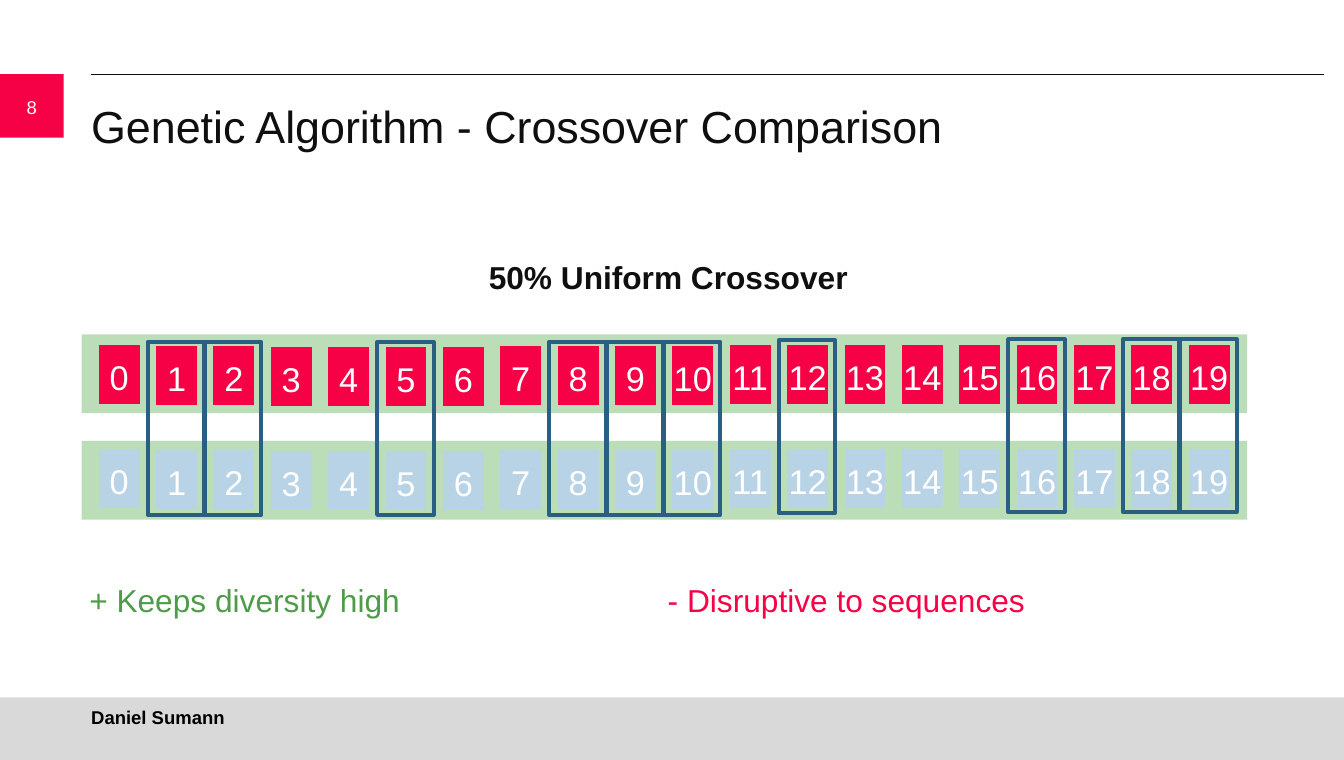
from dataclasses import dataclass

from lxml import etree
from pptx import Presentation
from pptx.dml.color import RGBColor
from pptx.enum.shapes import MSO_CONNECTOR, MSO_SHAPE
from pptx.enum.text import MSO_ANCHOR, PP_ALIGN
from pptx.oxml.ns import qn
from pptx.util import Inches, Pt

RECT, BOX = MSO_SHAPE.RECTANGLE, MSO_SHAPE.FLOWCHART_PROCESS
LINE = MSO_CONNECTOR.STRAIGHT
LEFT, MID = PP_ALIGN.LEFT, PP_ALIGN.CENTER
TOP, CENTER = MSO_ANCHOR.TOP, MSO_ANCHOR.MIDDLE

# Grid of the slide: columns and rows of a tenth of an inch
UNIT, COLS, ROWS = 0.1, 141.5, 80


@dataclass(frozen=True)
class Theme:
    font: str = "Arial"
    ink: str = "0F0F0F"
    black: str = "000000"
    white: str = "FFFFFF"
    red: str = "F70146"
    gray: str = "D9D9D9"
    green: str = "78BE73"
    leaf: str = "4E9C49"
    pale: str = "B9D3E6"
    blue: str = "285F82"
    title: int = 34
    gene: int = 26
    body: int = 24
    small: int = 14
    space: float = 1.1


def grid(*cells):
    return [Inches(c * UNIT) for c in cells]


def write(shape, text, theme, size, color, bold=False, align=LEFT,
          anchor=TOP, pad=(0, 0, 0, 0)):
    frame = shape.text_frame
    frame.word_wrap = True
    frame.vertical_anchor = anchor
    (frame.margin_left, frame.margin_top,
     frame.margin_right, frame.margin_bottom) = grid(*pad)
    para = frame.paragraphs[0]
    para.alignment = align
    para.line_spacing = theme.space
    run = para.add_run()
    run.text = text
    font = run.font
    font.name, font.size, font.bold = theme.font, Pt(size), bold
    font.color.rgb = RGBColor.from_string(color)


class Board:
    def __init__(self, slide, theme):
        self.slide, self.theme = slide, theme

    def text(self, at, text, size, color, **style):
        box = self.slide.shapes.add_textbox(*grid(*at))
        write(box, text, self.theme, size, color, **style)

    def block(self, at, fill, kind=RECT, alpha=None):
        shape = self.slide.shapes.add_shape(kind, *grid(*at))
        shape.shadow.inherit = False
        shape.line.fill.background()
        shape.fill.solid()
        shape.fill.fore_color.rgb = RGBColor.from_string(fill)
        if alpha is not None:
            tone = shape.fill._xPr.find(".//" + qn("a:srgbClr"))
            etree.SubElement(tone, qn("a:alpha")).set("val", str(alpha * 1000))
        return shape

    def label(self, at, text, size, fill, kind=BOX):
        shape = self.block(at, fill, kind)
        write(shape, text, self.theme, size, self.theme.white,
              align=MID, anchor=CENTER)

    def frame(self, at, color, width):
        shape = self.slide.shapes.add_shape(RECT, *grid(*at))
        shape.shadow.inherit = False
        shape.fill.background()
        shape.line.color.rgb = RGBColor.from_string(color)
        shape.line.width = Pt(width)

    def rule(self, ends, color, width):
        line = self.slide.shapes.add_connector(LINE, *grid(*ends))
        line.line.color.rgb = RGBColor.from_string(color)
        line.line.width = Pt(width)
        etree.SubElement(line._element.spPr, qn("a:effectLst"))


def main():
    deck = Presentation()
    deck.slide_width, deck.slide_height = grid(COLS, ROWS)
    theme = Theme()
    board = Board(deck.slides.add_slide(deck.slide_layouts[6]), theme)

    # Header and footer
    board.label((0, 7.8, 6.7, 6.7), "8", theme.small, theme.red, RECT)
    board.block((0, 73.4, COLS, 6.6), theme.gray)
    board.rule((9.6, 7.8, 139.4, 7.8), theme.ink, 0.5)
    board.text((9.6, 9.8, 129.9, 6.7),
               "Genetic Algorithm - Crossover Comparison",
               theme.title, theme.ink)
    board.text((9.6, 74.2, 128.1, 2.4), "Daniel Sumann",
               theme.small, theme.black, bold=True, anchor=CENTER)

    # Two parents of twenty genes; the middle genes sit a little lower
    count, first, step = 20, 10.4, 6.04
    drop = [0] + [0.1] * 2 + [0.2] * 4 + [0.1] * 4 + [0] * 9
    parents = ((35.2, theme.red), (46.4, theme.pale))
    for top, _ in parents:
        board.block((8.6, top, 122.7, 8.3), theme.green, alpha=50)
    for row, (_, fill) in enumerate(parents):
        for gene in range(count):
            at = (first + gene * step, 36.3 + row * 11 + drop[gene], 4.3, 6.2)
            board.label(at, str(gene), theme.gene, fill)

    # Frames around the swapped genes
    swaps = ((36, (1, 2, 5, 8, 9, 10)), (35.8, (12,)), (35.7, (16, 18, 19)))
    for top, genes in swaps:
        for gene in genes:
            board.frame((first + gene * step - 0.9, top, 5.95, 18.2),
                        theme.blue, 3)

    # Heading, gain and loss
    pad = (0, 0.5, 1, 0.5)
    board.text((51, 26.2, 39.7, 5), "50% Uniform Crossover", theme.body,
               theme.ink, bold=True, align=MID, pad=pad)
    notes = (("+ Keeps diversity high", theme.leaf),
             ("- Disruptive to sequences", theme.red))
    for side, (note, color) in enumerate(notes):
        board.text((9.4 + side * 60.9, 60.2, 60.9, 9.1), note,
                   theme.body, color, pad=pad)

    deck.save("out.pptx")


if __name__ == "__main__":
    main()
